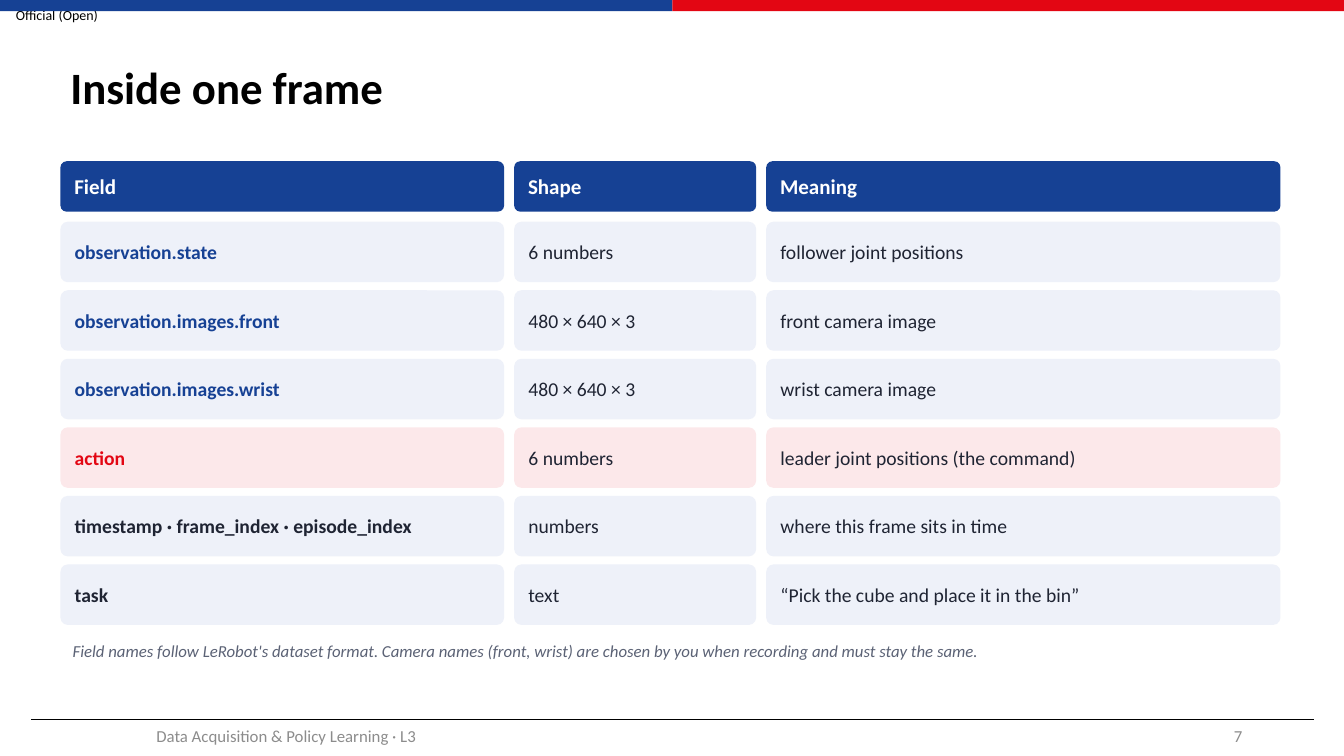
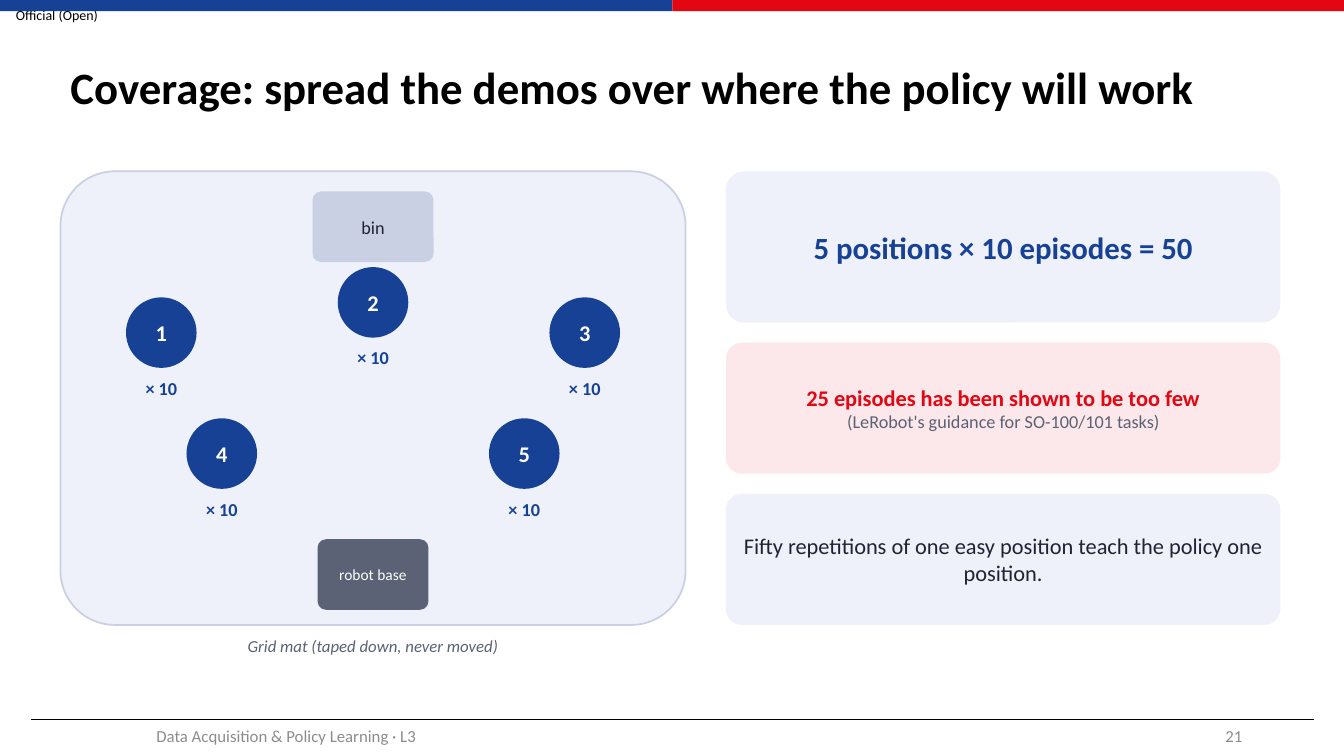
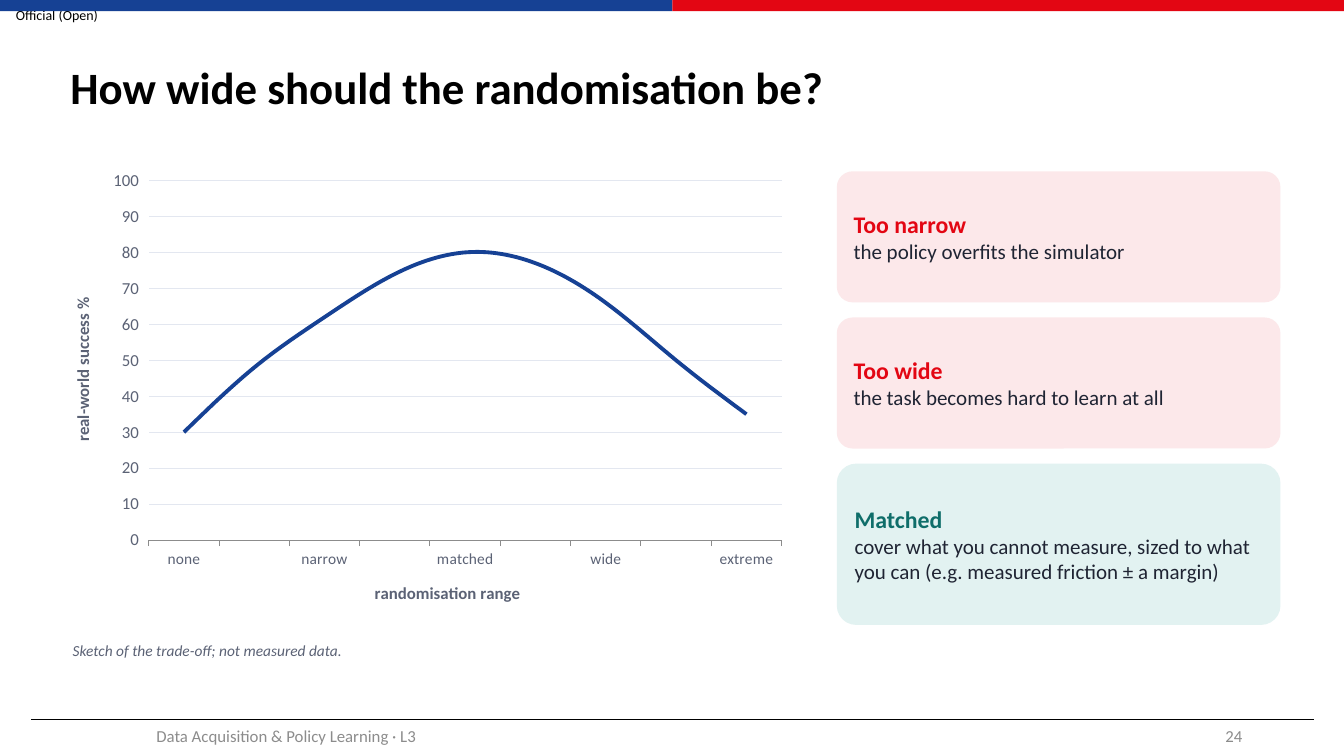
from pptx import Presentation
from pptx.chart.data import CategoryChartData
from pptx.dml.color import RGBColor
from pptx.enum.chart import XL_CHART_TYPE as ChartType, XL_TICK_MARK as Tick
from pptx.enum.shapes import MSO_CONNECTOR as Connector, MSO_SHAPE as Shape
from pptx.enum.text import MSO_ANCHOR as Anchor, PP_ALIGN as Align
from pptx.oxml.ns import qn
from pptx.util import Inches, Pt
from lxml import etree

FONT = "Calibri"
BLUE = RGBColor(0x16, 0x41, 0x94)
RED = RGBColor(0xE3, 0x06, 0x13)
TEAL = RGBColor(0x0F, 0x6E, 0x6A)
BLACK = RGBColor(0, 0, 0)
WHITE = RGBColor(0xFF, 0xFF, 0xFF)
INK = RGBColor(0x1F, 0x24, 0x33)
SLATE = RGBColor(0x5B, 0x62, 0x75)
GREY = RGBColor(0x8C, 0x8C, 0x8C)
STEEL = RGBColor(0xC9, 0xD0, 0xE3)
GRID = RGBColor(0xE3, 0xE7, 0xF0)
PALE_BLUE = RGBColor(0xEE, 0xF1, 0xF9)
PALE_RED = RGBColor(0xFC, 0xE8, 0xEA)
PALE_TEAL = RGBColor(0xE2, 0xF2, 0xF1)
TILE_INSETS = (0.12, 0.06)
PLAIN_INSETS = (0.1, 0.05)


def add_box(page, at, lines=(), fill=None, kind=Shape.ROUNDED_RECTANGLE, align=Align.LEFT,
            anchor=Anchor.MIDDLE, insets=TILE_INSETS, italic=False):
    place = [Inches(length) for length in at]
    if fill is None:
        box = page.shapes.add_textbox(*place)
    else:
        box = page.shapes.add_shape(kind, *place)
        box.shadow.inherit = False
        box.fill.solid()
        box.fill.fore_color.rgb = fill
        box.line.fill.background()
        if kind == Shape.ROUNDED_RECTANGLE:
            box.adjustments[0] = 0.12
    frame = box.text_frame
    frame.word_wrap = True
    frame.vertical_anchor = anchor
    frame.margin_left = frame.margin_right = Inches(insets[0])
    frame.margin_top = frame.margin_bottom = Inches(insets[1])
    for index, (text, size, color, bold) in enumerate(lines):
        para = frame.add_paragraph() if index else frame.paragraphs[0]
        para.text = text
        para.alignment = align
        para.font.name = FONT
        para.font.size = Pt(size)
        para.font.color.rgb = color
        para.font.bold = bold
        para.font.italic = italic
    return box


def add_page(title, number):
    page = deck.slides.add_slide(deck.slide_layouts[6])
    add_box(page, (0, 0, 1.13, 0.29), [("Official (Open)", 10, BLACK, False)],
            align=Align.CENTER, insets=(0, 0))
    for side, color in enumerate((BLUE, RED)):
        add_box(page, (side * 6.67, 0, 6.67, 0.11), fill=color, kind=Shape.RECTANGLE)
    rule = page.shapes.add_connector(Connector.STRAIGHT, Inches(0.31), Inches(7.14),
                                     Inches(13.03), Inches(7.14))
    rule.line.color.rgb = BLACK
    rule.line.width = Pt(0.5)
    etree.SubElement(rule._element.spPr, qn("a:effectLst"))
    heading = add_box(page, (0.6, 0.3, 12.08, 1.18), [(title, 32, BLACK, True)],
                      insets=PLAIN_INSETS)
    heading.text_frame.paragraphs[0].line_spacing = 0.9
    add_box(page, (0.59, 7.1, 4.5, 0.4),
            [("Data Acquisition & Policy Learning · L3", 12, GREY, False)],
            align=Align.CENTER, insets=PLAIN_INSETS)
    add_box(page, (9.42, 7.1, 3, 0.4), [(number, 12, GREY, False)],
            align=Align.RIGHT, insets=PLAIN_INSETS)
    return page


deck = Presentation()
deck.slide_width = Inches(13.33)
deck.slide_height = Inches(7.5)

page = add_page("Inside one frame", "7")
columns = [(0.6, 4.4), (5.1, 2.4), (7.6, 5.1)]
for (left, width), label in zip(columns, ("Field", "Shape", "Meaning")):
    add_box(page, (left, 1.6, width, 0.5), [(label, 15, WHITE, True)], BLUE)
fields = [
    ("observation.state", "6 numbers", "follower joint positions", BLUE),
    ("observation.images.front", "480 × 640 × 3", "front camera image", BLUE),
    ("observation.images.wrist", "480 × 640 × 3", "wrist camera image", BLUE),
    ("action", "6 numbers", "leader joint positions (the command)", RED),
    ("timestamp · frame_index · episode_index", "numbers", "where this frame sits in time", INK),
    ("task", "text", "“Pick the cube and place it in the bin”", INK),
]
for row, (*cells, accent) in enumerate(fields):
    fill = PALE_RED if accent == RED else PALE_BLUE
    for column, ((left, width), text) in enumerate(zip(columns, cells)):
        is_name = column == 0
        add_box(page, (left, 2.2 + row * 0.68, width, 0.6),
                [(text, 14, accent if is_name else INK, is_name)], fill)
add_box(page, (0.6, 6.3, 12.1, 0.4),
        [("Field names follow LeRobot's dataset format. Camera names (front, wrist) are chosen "
          "by you when recording and must stay the same.", 12, SLATE, False)],
        anchor=Anchor.TOP, italic=True)

page = add_page("Coverage: spread the demos over where the policy will work", "21")
mat = add_box(page, (0.6, 1.7, 6.2, 4.5), fill=PALE_BLUE)
mat.line.color.rgb = STEEL
mat.line.width = Pt(1.25)
add_box(page, (3.1, 1.9, 1.2, 0.7), [("bin", 13, INK, False)], STEEL, align=Align.CENTER)
add_box(page, (3.15, 5.35, 1.1, 0.7), [("robot base", 11, WHITE, False)], SLATE,
        align=Align.CENTER)
spots = [(1.25, 2.95), (3.35, 2.65), (5.45, 2.95), (1.85, 4.15), (4.85, 4.15)]
for number, (left, top) in enumerate(spots, 1):
    add_box(page, (left, top, 0.7, 0.7), [(str(number), 16, WHITE, True)], BLUE,
            kind=Shape.OVAL, align=Align.CENTER)
    add_box(page, (left - 0.25, top + 0.73, 1.2, 0.35), [("× 10", 13, BLUE, True)],
            align=Align.CENTER, anchor=Anchor.TOP)
add_box(page, (0.6, 6.25, 6.2, 0.4), [("Grid mat (taped down, never moved)", 12, SLATE, False)],
        align=Align.CENTER, anchor=Anchor.TOP, italic=True)
messages = [
    (1.7, 1.5, PALE_BLUE, [("5 positions × 10 episodes = 50", 22, BLUE, True)]),
    (3.4, 1.3, PALE_RED, [("25 episodes has been shown to be too few", 16, RED, True),
                          ("(LeRobot's guidance for SO-100/101 tasks)", 13, SLATE, False)]),
    (4.9, 1.3, PALE_BLUE, [("Fifty repetitions of one easy position teach the policy one "
                            "position.", 16, INK, False)]),
]
for top, height, fill, lines in messages:
    add_box(page, (7.2, top, 5.5, height), lines, fill, align=Align.CENTER)

page = add_page("How wide should the randomisation be?", "24")
data = CategoryChartData()
data.categories = ["none", "", "narrow", "", "matched", "", "wide", "", "extreme"]
data.add_series("Series 1", [30, 48, 62, 74, 80, 77, 66, 50, 35])
chart = page.shapes.add_chart(ChartType.LINE, Inches(0.5), Inches(1.6), Inches(7.4),
                              Inches(4.6), data).chart
chart.has_legend = False
chart.has_title = False
chart.font.name = FONT
chart.font.size = Pt(12)
chart.font.color.rgb = SLATE
chart.plots[0].vary_by_categories = False
curve = chart.plots[0].series[0]
curve.smooth = True
curve.format.line.color.rgb = BLUE
curve.format.line.width = Pt(2.75)
across, upward = chart.category_axis, chart.value_axis
for axis, title, size in ((across, "randomisation range", 11),
                          (upward, "real-world success %", 12)):
    axis.major_tick_mark = Tick.OUTSIDE
    axis.tick_labels.font.size = Pt(size)
    axis.tick_labels.font.color.rgb = SLATE
    axis.axis_title.text_frame.text = title
    font = axis.axis_title.text_frame.paragraphs[0].font
    font.name = FONT
    font.size = Pt(12)
    font.bold = True
    font.color.rgb = SLATE
across.format.line.color.rgb = GREY
upward.minimum_scale = 0
upward.maximum_scale = 100
upward.format.line.fill.background()
upward.major_gridlines.format.line.color.rgb = GRID
upward.major_gridlines.format.line.width = Pt(0.75)
verdicts = [
    (1.7, 1.3, PALE_RED, RED, "Too narrow", "the policy overfits the simulator"),
    (3.15, 1.3, PALE_RED, RED, "Too wide", "the task becomes hard to learn at all"),
    (4.6, 1.6, PALE_TEAL, TEAL, "Matched", "cover what you cannot measure, sized to what you can "
     "(e.g. measured friction ± a margin)"),
]
for top, height, fill, accent, verdict, reason in verdicts:
    add_box(page, (8.3, top, 4.4, height),
            [(verdict, 17, accent, True), (reason, 15, INK, False)], fill)
add_box(page, (0.6, 6.3, 7.4, 0.35),
        [("Sketch of the trade-off; not measured data.", 11, SLATE, False)],
        anchor=Anchor.TOP, italic=True)

deck.save("out.pptx")
